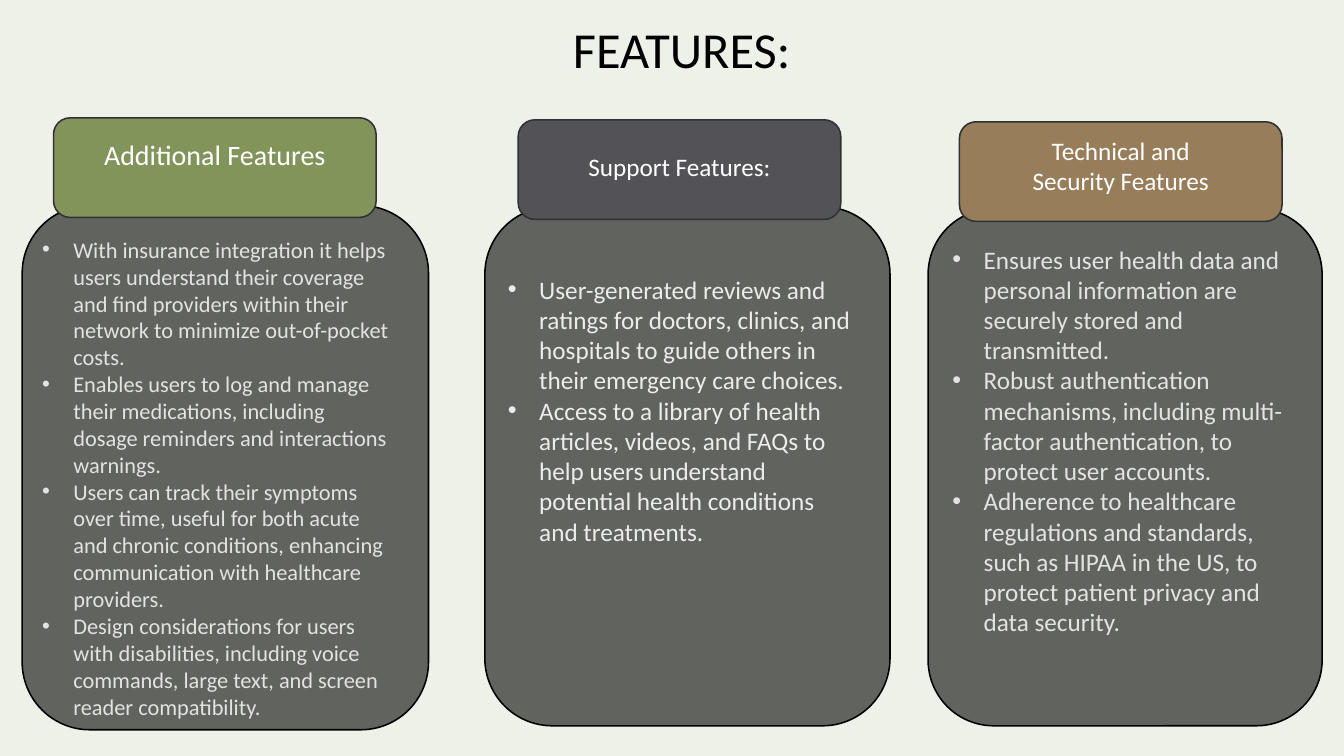
from lxml.etree import SubElement as Sub
from pptx import Presentation
from pptx.dml.color import RGBColor as Rgb
from pptx.enum.shapes import MSO_SHAPE as Geo
from pptx.enum.text import PP_ALIGN as Align
from pptx.oxml.ns import qn
from pptx.util import Cm, Pt

HUES = {
    "back": "EDF1E7", "ink": "000000", "edge": "313133", "white": "FFFFFF",
    "green": "81955B", "slate": "535357", "tan": "987D5A",
    "pale": "E3E3E3", "light": "ECECEC",
}
FONT = "Calibri"
TITLE = ("FEATURES:", (13, 0.33, 8.36, 1.8), 36)
TAB_W, TAB_H = 8.13, 2.51
BODY_W = 9.24
INDENT = 0.79

COLUMNS = [
    {
        "panel": (23.39, 5.26, 9.93, 13.03),
        "tab": (24.18, 3.07, "tan"),
        "head": ("Technical and Security Features", 3.28, 5.77, 1.8, 18),
        "body": (23.75, 6.02, 10.26, 18, "pale"),
        "items": [
            "Ensures user health data and personal information are securely stored and transmitted.",
            "Robust authentication mechanisms, including multi-factor authentication, to protect user accounts.",
            "Adherence to healthcare regulations and standards, such as HIPAA in the US, to protect patient privacy and data security.",
        ],
    },
    {
        "panel": (12.22, 5.21, 10.21, 13.08),
        "tab": (13.06, 3.02, "slate"),
        "head": ("Support Features:", 3.68, 6.99, 1.02, 18),
        "body": (12.55, 6.78, 8.74, 18, "light"),
        "items": [
            "User-generated reviews and ratings for doctors, clinics, and hospitals to guide others in their emergency care choices.",
            "Access to a library of health articles, videos, and FAQs to help users understand potential health conditions and treatments.",
        ],
    },
    {
        "panel": (0.56, 5.18, 10.24, 13.21),
        "tab": (1.35, 2.97, "green"),
        "head": ("Additional Features", 3.35, 6.99, 1.12, 20),
        "body": (0.81, 5.82, 13.16, 16, "pale"),
        "items": [
            "With insurance integration it helps users understand their coverage and find providers within their network to minimize out-of-pocket costs.",
            "Enables users to log and manage their medications, including dosage reminders and interactions warnings.",
            "Users can track their symptoms over time, useful for both acute and chronic conditions, enhancing communication with healthcare providers.",
            "Design considerations for users with disabilities, including voice commands, large text, and screen reader compatibility.",
        ],
    },
]


def tint(name):
    return Rgb.from_string(HUES[name])


def add_card(slide, box, fill, edge, alpha=None):
    card = slide.shapes.add_shape(Geo.ROUNDED_RECTANGLE, *map(Cm, box))
    card.shadow.inherit = False
    card.fill.solid()
    card.fill.fore_color.rgb = tint(fill)
    card.line.color.rgb = tint(edge)
    card.line.width = Pt(1.1)
    if alpha:
        hue = card.fill._xPr.find(qn("a:solidFill"))[0]
        Sub(hue, qn("a:alpha"), val=str(alpha * 1000))


def add_text(slide, box, lines, size, color, bullet=False):
    frame = slide.shapes.add_textbox(*map(Cm, box)).text_frame
    frame.word_wrap = True
    for i, line in enumerate(lines):
        para = frame.add_paragraph() if i else frame.paragraphs[0]
        if bullet:
            props = para._p.get_or_add_pPr()
            props.set("marL", str(Cm(INDENT)))
            props.set("indent", str(-Cm(INDENT)))
            Sub(props, qn("a:buFont"), typeface="Arial")
            Sub(props, qn("a:buChar"), char="•")
        else:
            para.alignment = Align.CENTER
        run = para.add_run()
        run.text = line
        run.font.name = FONT
        run.font.size = Pt(size)
        run.font.color.rgb = tint(color)


def add_column(slide, col):
    add_card(slide, col["panel"], "ink", "ink", 59)
    left, top, fill = col["tab"]
    add_card(slide, (left, top, TAB_W, TAB_H), fill, "edge")
    head, y, wide, high, size = col["head"]
    x = left + (TAB_W - wide) / 2
    add_text(slide, (x, y, wide, high), [head], size, "white")
    x, y, high, size, color = col["body"]
    add_text(slide, (x, y, BODY_W, high), col["items"], size, color, True)


def main():
    deck = Presentation()
    deck.slide_width, deck.slide_height = Cm(33.87), Cm(19.05)
    slide = deck.slides.add_slide(deck.slide_layouts[6])
    slide.background.fill.solid()
    slide.background.fill.fore_color.rgb = tint("back")
    for col in COLUMNS:
        add_column(slide, col)
    text, box, size = TITLE
    add_text(slide, box, [text], size, "ink")
    deck.save("out.pptx")


if __name__ == "__main__":
    main()
